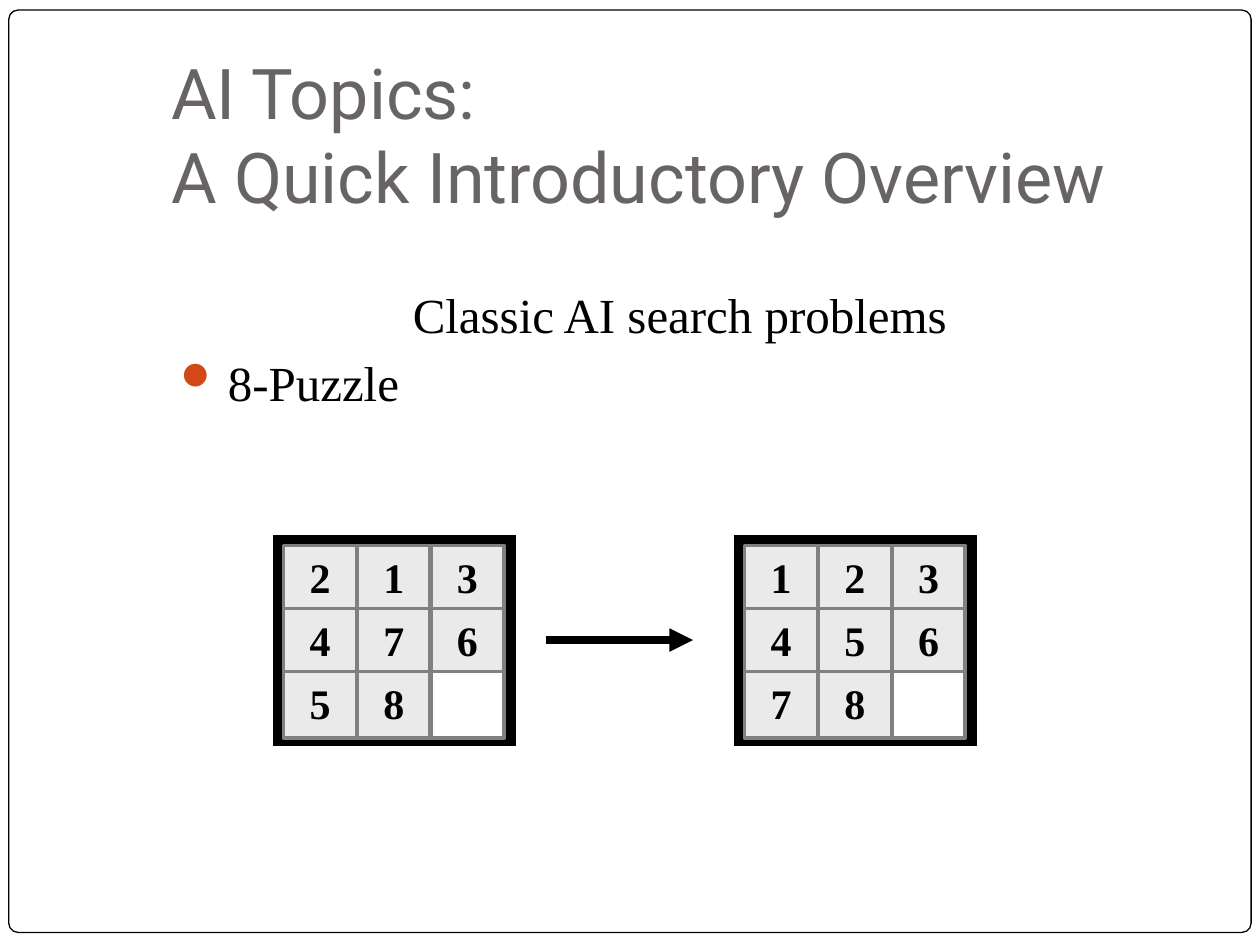
from lxml import etree
from pptx import Presentation
from pptx.dml.color import RGBColor
from pptx.enum.shapes import MSO_CONNECTOR, MSO_SHAPE
from pptx.enum.text import MSO_ANCHOR, PP_ALIGN
from pptx.oxml.ns import qn
from pptx.util import Inches, Pt

RECT, ROUND = MSO_SHAPE.RECTANGLE, MSO_SHAPE.ROUNDED_RECTANGLE
STRAIGHT = MSO_CONNECTOR.STRAIGHT
TOP, BOTTOM = MSO_ANCHOR.TOP, MSO_ANCHOR.BOTTOM
LEFT, CENTER = PP_ALIGN.LEFT, PP_ALIGN.CENTER

BLACK = RGBColor(0x00, 0x00, 0x00)
WHITE = RGBColor(0xFF, 0xFF, 0xFF)
PALE = RGBColor(0xEA, 0xEA, 0xEA)
GRAY = RGBColor(0x80, 0x80, 0x80)
SLATE = RGBColor(0x69, 0x64, 0x64)
RUST = RGBColor(0xD3, 0x48, 0x17)

HEAD = {"name": "Roboto", "size": Pt(40)}
BODY = {"name": "Times New Roman", "size": Pt(28)}
DIGIT = {"name": "Times New Roman", "size": Pt(24), "bold": True}

START = ["213", "476", "58 "]
GOAL = ["123", "456", "78 "]


def style(para, form, color, align=LEFT):
    para.alignment = align
    for key, value in form.items():
        setattr(para.font, key, value)
    para.font.color.rgb = color


def add_box(shapes, kind, area, fill, line, width):
    box = shapes.add_shape(kind, *map(Inches, area))
    box.shadow.inherit = False
    box.fill.solid()
    box.fill.fore_color.rgb = fill
    box.line.color.rgb = line
    box.line.width = Pt(width)
    return box


def add_text(slide, area, anchor=TOP):
    frame = slide.shapes.add_textbox(*map(Inches, area)).text_frame
    frame.word_wrap = True
    frame.vertical_anchor = anchor
    return frame


def indent(para, size):
    props = para._p.get_or_add_pPr()
    props.set("marL", str(Inches(size)))
    props.set("indent", str(-Inches(size)))
    return props


def add_bullet(props, char, color):
    tint = etree.SubElement(props, qn("a:buClr"))
    etree.SubElement(tint, qn("a:srgbClr")).set("val", str(color))
    etree.SubElement(props, qn("a:buChar")).set("char", char)


def add_board(slide, left, top, rows):
    group = slide.shapes.add_group_shape().shapes
    add_box(group, RECT, (left, top, 1.92, 1.67), BLACK, BLACK, 0.75)
    for i, row in enumerate(rows):
        for j, digit in enumerate(row):
            blank = digit == " "
            area = (left + 0.08 + j * 0.585, top + 0.08 + i * 0.5, 0.58, 0.53)
            tile = add_box(group, RECT, area, WHITE if blank else PALE, GRAY, 2)
            if not blank:
                frame = tile.text_frame
                frame.vertical_anchor = TOP
                frame.text = digit
                style(frame.paragraphs[0], DIGIT, BLACK, CENTER)


def add_arrow(slide, start, end):
    arrow = slide.shapes.add_connector(STRAIGHT, *map(Inches, start + end))
    arrow.line.color.rgb = BLACK
    arrow.line.width = Pt(4.5)
    line = arrow.line._get_or_add_ln()
    etree.SubElement(line, qn("a:tailEnd")).set("type", "triangle")
    etree.SubElement(arrow._element.spPr, qn("a:effectLst"))


def main():
    deck = Presentation()
    deck.slide_width, deck.slide_height = Inches(10), Inches(7.5)
    slide = deck.slides.add_slide(deck.slide_layouts[6])

    # Frame
    frame = add_box(slide.shapes, ROUND, (0.07, 0.08, 9.86, 7.32),
                    WHITE, BLACK, 0.75)
    frame.adjustments[0] = 0.01

    # Title
    title = add_text(slide, (1.26, 0.23, 8.52, 1.6), BOTTOM)
    title.margin_bottom = Inches(0.1)
    title.text = "AI Topics:\vA Quick Introductory Overview"
    style(title.paragraphs[0], HEAD, SLATE)

    # Topic and bullet
    body = add_text(slide, (1.29, 2.21, 8.21, 1.46))
    body.text = "Classic AI search problems\n8-Puzzle"
    topic, item = body.paragraphs
    indent(topic, 0.42)
    add_bullet(indent(item, 0.42), "⚫", RUST)
    style(topic, BODY, BLACK, CENTER)
    style(item, BODY, BLACK)
    item.space_before = Pt(5)

    # Puzzle boards
    add_board(slide, 2.17, 4.25, START)
    add_board(slide, 5.83, 4.25, GOAL)
    add_arrow(slide, (4.33, 5.08), (5.5, 5.08))

    deck.save("out.pptx")


if __name__ == "__main__":
    main()
